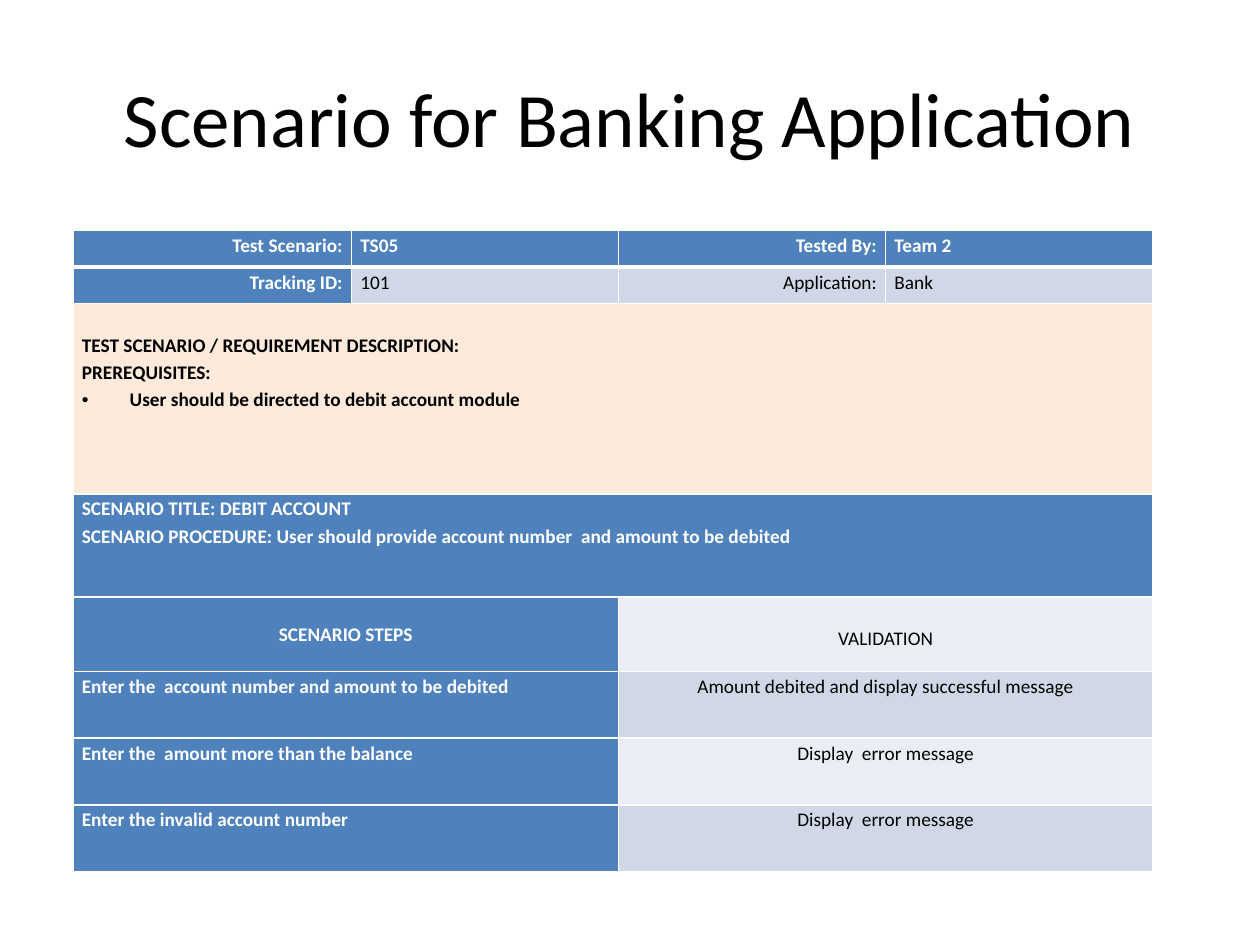
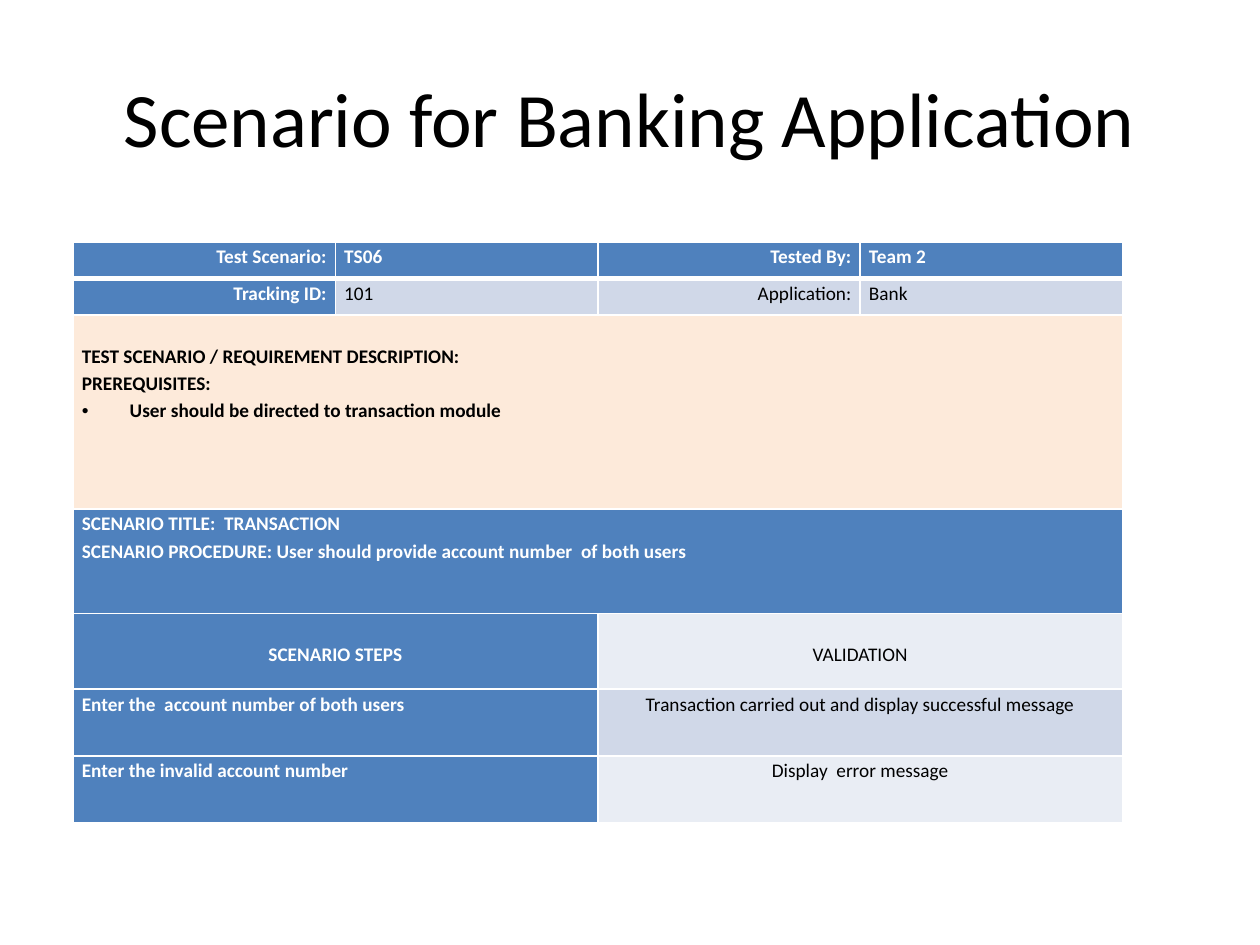
from lxml.etree import SubElement
from pptx import Presentation
from pptx.dml.color import RGBColor
from pptx.enum.text import MSO_ANCHOR, PP_ALIGN
from pptx.oxml.ns import qn
from pptx.util import Inches, Pt

COLORS = {
    "text": "000000",
    "white": "FFFFFF",
    "blue": "4F81BD",
    "band": "D0D8E8",
    "light_band": "E9EDF4",
    "peach": "FDEADA",
}
FONT = "Calibri"
TITLE = "Scenario for Banking Application"
BLANK_LAYOUT = 6
LINE_GAP = 0.21
LEFT, CENTER, RIGHT = PP_ALIGN.LEFT, PP_ALIGN.CENTER, PP_ALIGN.RIGHT

SCENARIOS = [
    {
        "id": "TS05",
        "top": 1.83,
        "columns": [2.21, 2.12, 2.12, 2.12],
        "rows": [0.29, 0.29, 1.51, 0.82, 0.59],
        "steps_gap": 0.18,
        "prerequisite": "User should be directed to debit account module",
        "title": "SCENARIO TITLE: DEBIT ACCOUNT",
        "procedure": "User should provide account number  and amount to be debited",
        "steps": [
            ("Enter the  account number and amount to be debited",
             "Amount debited and display successful message"),
            ("Enter the  amount more than the balance", "Display  error message"),
            ("Enter the invalid account number", "Display  error message"),
        ],
    },
    {
        "id": "TS06",
        "top": 1.92,
        "columns": [8.33 / 4] * 4,
        "rows": [0.29, 0.29, 1.54, 0.83, 0.6],
        "steps_gap": LINE_GAP,
        "prerequisite": "User should be directed to transaction module",
        "title": "SCENARIO TITLE:  TRANSACTION",
        "procedure": "User should provide account number  of both users",
        "steps": [
            ("Enter the  account number of both users",
             "Transaction carried out and display successful message"),
            ("Enter the invalid account number", "Display  error message"),
        ],
    },
]
STEP_HEIGHT = 0.53


def color(name):
    return RGBColor.from_string(COLORS[name])


def style_paragraph(paragraph, size, color_name, align, bold=False):
    paragraph.alignment = align
    font = paragraph.font
    font.name, font.size, font.bold = FONT, Pt(size), bold
    font.color.rgb = color(color_name)


def add_title(slide):
    box = slide.shapes.add_textbox(Inches(0.5), Inches(0.3), Inches(9), Inches(1.25))
    frame = box.text_frame
    frame.word_wrap = True
    frame.vertical_anchor = MSO_ANCHOR.MIDDLE
    frame.text = TITLE
    style_paragraph(frame.paragraphs[0], 44, "text", CENTER)


def set_borders(cell, top=1, bottom=1):
    """Draw white cell borders; must run before the cell gets its fill."""
    properties = cell._tc.get_or_add_tcPr()
    for side, width in (("L", 1), ("R", 1), ("T", top), ("B", bottom)):
        line = SubElement(properties, qn(f"a:ln{side}"), w=str(Pt(width)))
        fill = SubElement(line, qn("a:solidFill"))
        SubElement(fill, qn("a:srgbClr"), val=COLORS["white"])


def add_bullet(paragraph):
    properties = paragraph._p.get_or_add_pPr()
    properties.set("marL", str(Inches(0.38)))
    properties.set("indent", str(-Inches(0.38)))
    SubElement(properties, qn("a:buFont"), typeface="Arial")
    SubElement(properties, qn("a:buChar"), char="•")


def fill_cell(cell, lines, fill, align=LEFT, text_color="text", bold=False, gap=0):
    cell.margin_left = cell.margin_right = Inches(0.07)
    cell.margin_top, cell.margin_bottom = Inches(gap), 0
    cell.fill.solid()
    cell.fill.fore_color.rgb = color(fill)
    cell.text = "\n".join(lines)
    for paragraph in cell.text_frame.paragraphs:
        style_paragraph(paragraph, 11, text_color, align, bold)
        paragraph.line_spacing = 1.15


def fill_blue_cell(cell, lines, align=LEFT, gap=0):
    fill_cell(cell, lines, "blue", align, "white", True, gap)


def merge_cells(table, row, first, last):
    cell = table.cell(row, first)
    cell.merge(table.cell(row, last))
    return cell


def add_grid(slide, top, columns, rows):
    table = slide.shapes.add_table(
        len(rows), len(columns), Inches(0.58), Inches(top),
        Inches(sum(columns)), Inches(sum(rows))).table
    table.first_row = table.horz_banding = False
    for column, width in zip(table.columns, columns):
        column.width = Inches(width)
    for index, (row, height) in enumerate(zip(table.rows, rows)):
        row.height = Inches(height)
        for cell in row.cells:
            set_borders(cell, top=3 if index == 1 else 1, bottom=3 if index == 0 else 1)
    return table


def add_scenario_table(slide, scenario):
    steps = scenario["steps"]
    rows = scenario["rows"] + [STEP_HEIGHT] * len(steps)
    table = add_grid(slide, scenario["top"], scenario["columns"], rows)

    header = ["Test Scenario:", scenario["id"], "Tested By:", "Team 2"]
    tracking = ["Tracking ID:", "101", "Application:", "Bank"]
    for column, (heading, detail) in enumerate(zip(header, tracking)):
        align = LEFT if column % 2 else RIGHT
        fill_blue_cell(table.cell(0, column), [heading], align)
        if column == 0:
            fill_blue_cell(table.cell(1, column), [detail], align)
        else:
            fill_cell(table.cell(1, column), [detail], "band", align)

    description = merge_cells(table, 2, 0, 3)
    fill_cell(description, ["TEST SCENARIO / REQUIREMENT DESCRIPTION:", "PREREQUISITES:",
                            scenario["prerequisite"]], "peach", bold=True, gap=LINE_GAP)
    add_bullet(description.text_frame.paragraphs[-1])
    fill_blue_cell(merge_cells(table, 3, 0, 3),
                   [scenario["title"], "SCENARIO PROCEDURE: " + scenario["procedure"]])

    fill_blue_cell(merge_cells(table, 4, 0, 1), ["SCENARIO STEPS"], CENTER,
                   scenario["steps_gap"])
    fill_cell(merge_cells(table, 4, 2, 3), ["VALIDATION"], "light_band", CENTER, gap=LINE_GAP)
    for row, (step, validation) in enumerate(steps, start=5):
        fill_blue_cell(merge_cells(table, row, 0, 1), [step])
        fill_cell(merge_cells(table, row, 2, 3), [validation],
                  "band" if row % 2 else "light_band", CENTER)


def main():
    presentation = Presentation()
    presentation.slide_width, presentation.slide_height = Inches(10), Inches(7.5)
    for scenario in SCENARIOS:
        slide = presentation.slides.add_slide(presentation.slide_layouts[BLANK_LAYOUT])
        add_title(slide)
        add_scenario_table(slide, scenario)
    presentation.save("out.pptx")


if __name__ == "__main__":
    main()
